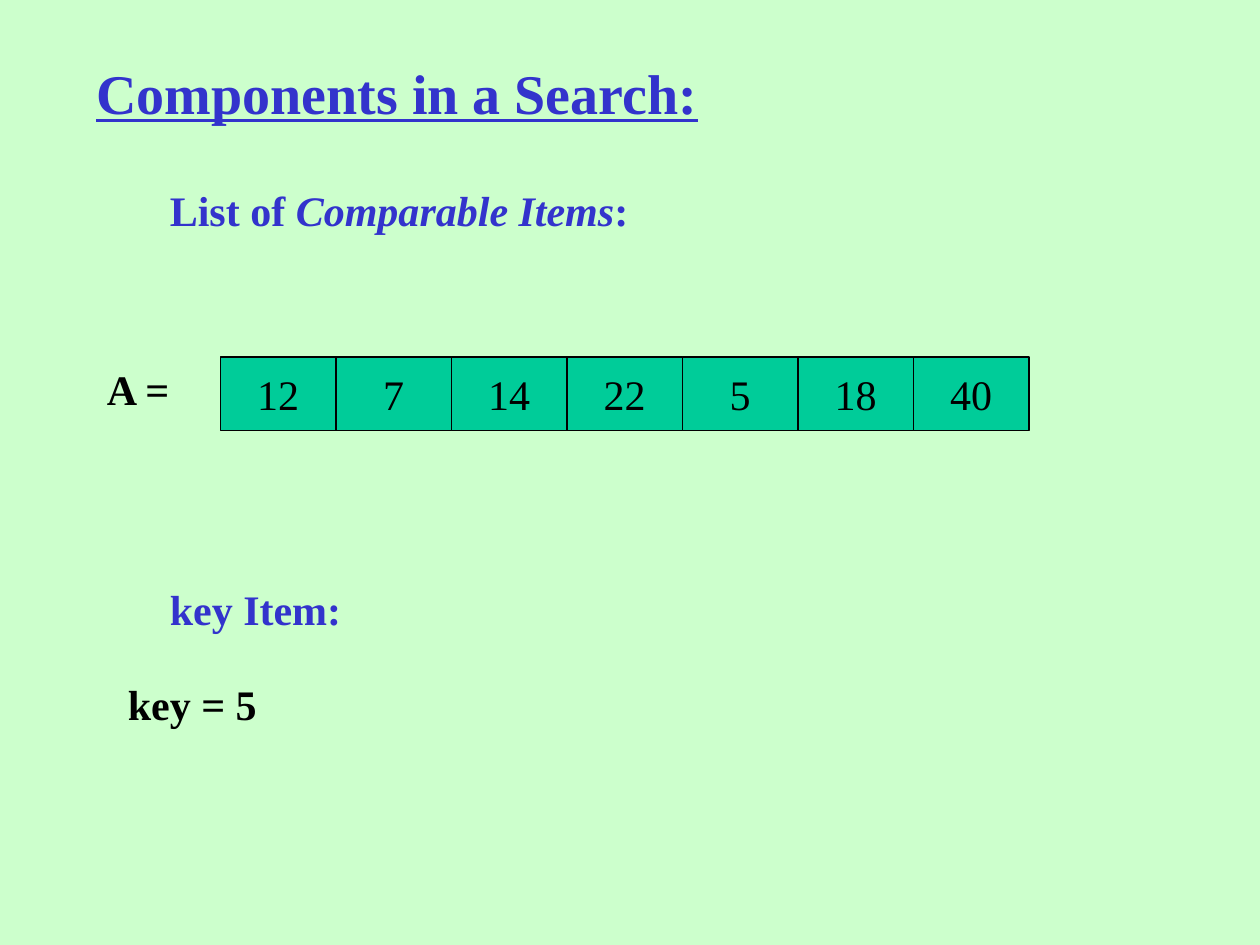
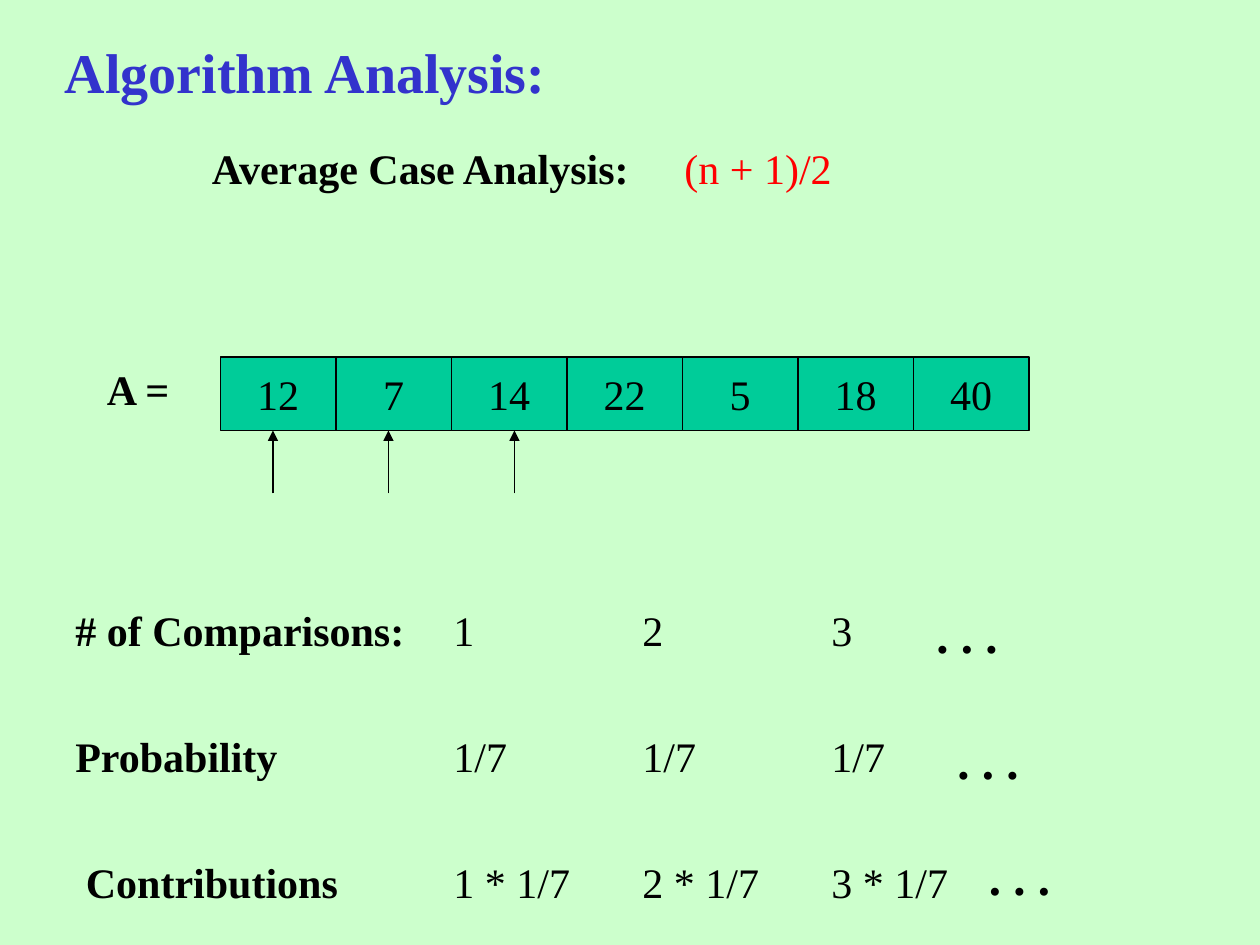
from dataclasses import dataclass

from lxml import etree
from pptx import Presentation
from pptx.dml.color import RGBColor
from pptx.enum.shapes import MSO_CONNECTOR, MSO_SHAPE
from pptx.enum.text import MSO_ANCHOR, MSO_AUTO_SIZE, PP_ALIGN
from pptx.oxml.ns import qn
from pptx.util import Cm, Pt

RECTANGLE = MSO_SHAPE.RECTANGLE
STRAIGHT = MSO_CONNECTOR.STRAIGHT
MIDDLE = MSO_ANCHOR.MIDDLE
CENTER = PP_ALIGN.CENTER
GROW = MSO_AUTO_SIZE.SHAPE_TO_FIT_TEXT

ITEMS = (12, 7, 14, 22, 5, 18, 40)
ITEM_LEFT, ITEM_TOP, ITEM_WIDTH, ITEM_HEIGHT = 21, 34, 11, 7


@dataclass(frozen=True)
class Theme:
    font: str = "Times New Roman"
    background: RGBColor = RGBColor(0xCC, 0xFF, 0xCC)
    heading: RGBColor = RGBColor(0x33, 0x33, 0xCC)
    ink: RGBColor = RGBColor(0, 0, 0)
    answer: RGBColor = RGBColor(0xFF, 0, 0)
    item: RGBColor = RGBColor(0, 0xCC, 0x99)
    title_size: int = 32
    dots_size: int = 28
    body_size: int = 24
    line_width: float = 0.75


def grid(units):
    return Cm(units * 2.54 / 12)


class SlideBuilder:
    def __init__(self, deck, theme):
        self.deck = deck
        self.theme = theme
        self.page = None

    def new_page(self):
        self.page = self.deck.slides.add_slide(self.deck.slide_layouts[6])
        fill = self.page.background.fill
        fill.solid()
        fill.fore_color.rgb = self.theme.background

    def style(self, para, size=None, color=None, bold=False):
        font = para.font
        font.name = self.theme.font
        font.size = Pt(size or self.theme.body_size)
        font.color.rgb = color or self.theme.ink
        font.bold = bold

    def text(self, words, left, top, width, size=None, color=None, bold=True):
        size = size or self.theme.body_size
        height = Pt(size * 1.2) + Cm(0.25)
        box = self.page.shapes.add_textbox(grid(left), grid(top), grid(width), height)
        frame = box.text_frame
        frame.word_wrap = True
        frame.auto_size = GROW
        para = frame.paragraphs[0]
        self.style(para, size, color, bold)
        for part in [words] if isinstance(words, str) else words:
            para.add_run().text = part
        return para

    def title(self, words, left, top, width):
        return self.text(words, left, top, width, self.theme.title_size, self.theme.heading)

    def item(self, value, index):
        box = self.page.shapes.add_shape(
            RECTANGLE, grid(ITEM_LEFT + index * ITEM_WIDTH), grid(ITEM_TOP),
            grid(ITEM_WIDTH), grid(ITEM_HEIGHT))
        box.shadow.inherit = False
        box.fill.solid()
        box.fill.fore_color.rgb = self.theme.item
        box.line.color.rgb = self.theme.ink
        box.line.width = Pt(self.theme.line_width)
        frame = box.text_frame
        frame.word_wrap = False
        frame.vertical_anchor = MIDDLE
        para = frame.paragraphs[0]
        para.text = str(value)
        para.alignment = CENTER
        self.style(para)

    def item_list(self):
        for index, value in enumerate(ITEMS):
            self.item(value, index)
        self.text("A =", 9, ITEM_TOP, 10)

    def arrow_up(self, x):
        tip = ITEM_TOP + ITEM_HEIGHT
        arrow = self.page.shapes.add_connector(
            STRAIGHT, grid(x), grid(tip + 6), grid(x), grid(tip))
        arrow.line.color.rgb = self.theme.ink
        arrow.line.width = Pt(self.theme.line_width)
        properties = arrow.element.spPr
        etree.SubElement(properties.find(qn("a:ln")), qn("a:tailEnd"), type="triangle")
        etree.SubElement(properties, qn("a:effectLst"))


def components_page(builder):
    heading = builder.theme.heading
    builder.new_page()
    title = builder.title("Components in a Search:", 8, 5, 84)
    title.font.underline = True
    caption = builder.text(["List of ", "Comparable Items", ":"], 15, 17, 60, color=heading)
    caption.runs[1].font.italic = True
    builder.item_list()
    builder.text("key Item:", 15, 55, 43, color=heading)
    builder.text("key = 5", 11, 64, 27)


def analysis_page(builder):
    theme = builder.theme
    builder.new_page()
    builder.title("Algorithm Analysis:", 5, 3, 65)
    builder.text("Average Case Analysis:", 19, 13, 45)
    builder.text("(n + 1)/2", 64, 13, 28, color=theme.answer, bold=False)
    builder.item_list()
    for x in (26, 37, 49):
        builder.arrow_up(x)

    rows = (
        ("# of Comparisons:", 6, "{}", 88, 57),
        ("Probability", 6, "1/7", 90, 69),
        ("Contributions", 7, "{} * 1/7", 93, 80),
    )
    for row, (label, label_left, pattern, dots_left, dots_top) in enumerate(rows):
        top = 57 + 12 * row
        builder.text(label, label_left, top, 35)
        for column in range(3):
            value = pattern.format(column + 1)
            builder.text(value, 42 + 18 * column, top, 14, bold=False)
        builder.text(". . .", dots_left, dots_top, 14, theme.dots_size)


def main():
    deck = Presentation()
    deck.slide_width = grid(120)
    deck.slide_height = grid(90)
    builder = SlideBuilder(deck, Theme())
    components_page(builder)
    analysis_page(builder)
    deck.save("out.pptx")


if __name__ == "__main__":
    main()
